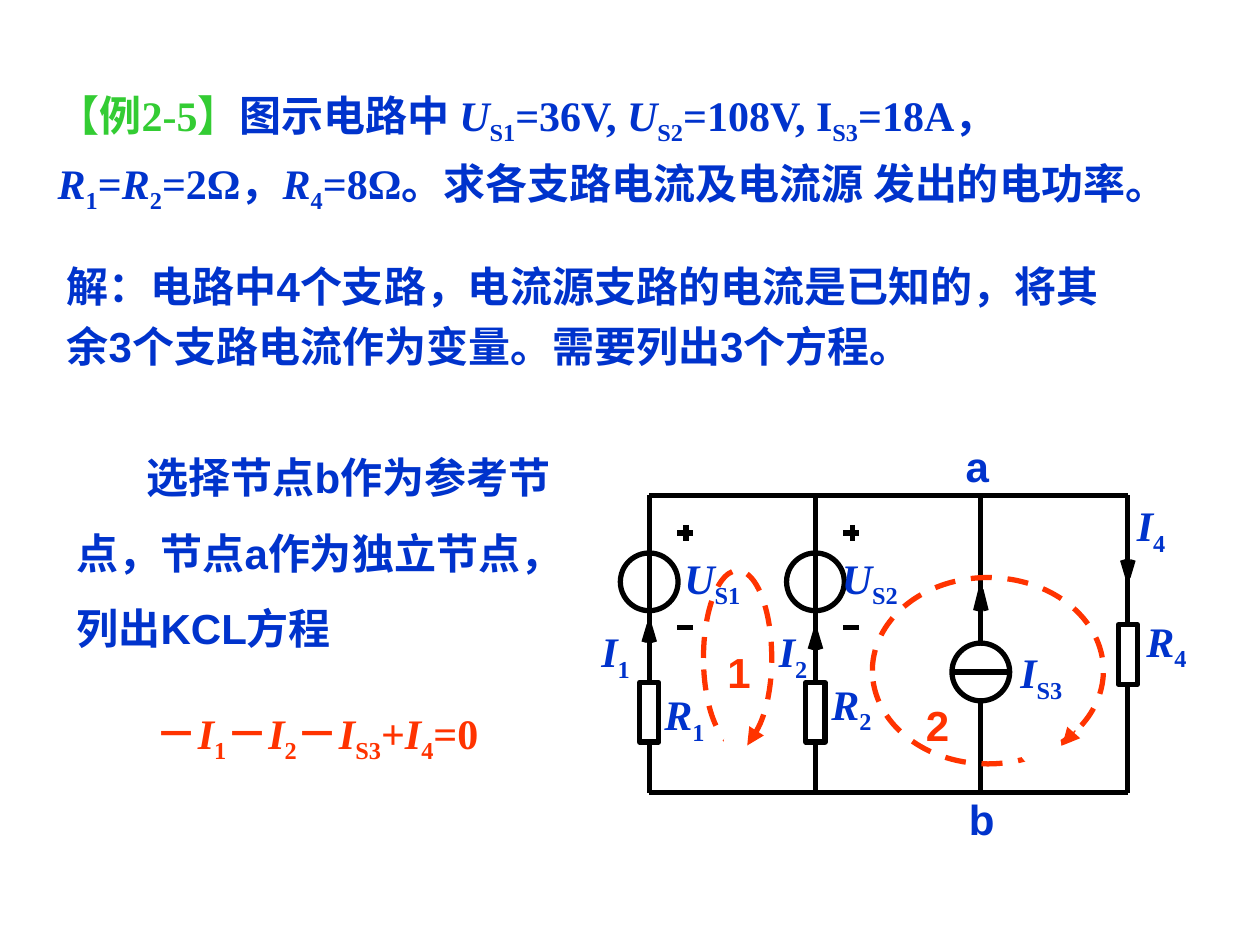
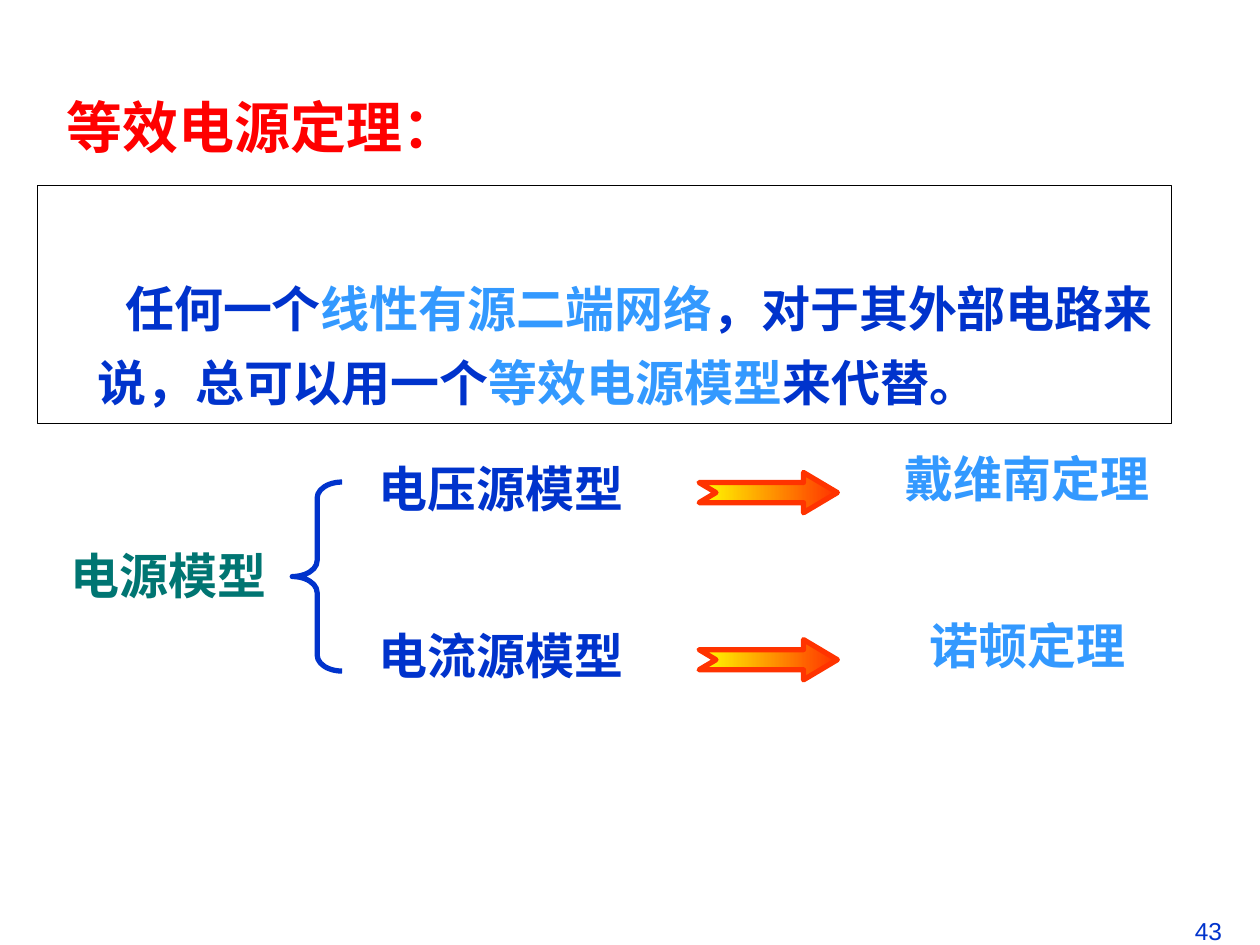
from lxml import etree
from pptx import Presentation
from pptx.dml.color import RGBColor
from pptx.enum.dml import MSO_LINE
from pptx.enum.shapes import MSO_CONNECTOR, MSO_SHAPE
from pptx.enum.text import MSO_ANCHOR, PP_ALIGN
from pptx.oxml.ns import qn
from pptx.util import Pt

STRAIGHT = MSO_CONNECTOR.STRAIGHT
OVAL, RECTANGLE = MSO_SHAPE.OVAL, MSO_SHAPE.RECTANGLE
BRACE, ARROW = MSO_SHAPE.LEFT_BRACE, MSO_SHAPE.NOTCHED_RIGHT_ARROW
LEFT, CENTER, RIGHT = PP_ALIGN.LEFT, PP_ALIGN.CENTER, PP_ALIGN.RIGHT

BLUE, SKY, TEAL, GREEN = "0033CC", "3399FF", "007572", "33CC33"
ORANGE, RED, YELLOW = "FF3300", "FF0000", "FFFF00"
BLACK, WHITE = "000000", "FFFFFF"
SANS, SERIF = "Arial", "Times New Roman"
TITLE_ONLY, BLANK = 5, 6


def color(value):
    return RGBColor.from_string(value)


# Text
def symbol(letter, index):
    """Runs of an italic letter with an upright subscript."""
    return [(letter, {"italic": True}), (index, {"subscript": True})]


def write_text(frame, paragraphs, size=24, font=SANS, ink=BLUE, bold=True,
               align=LEFT, line_spacing=None, space_before=0, margin=0,
               indent=0, insets=(7.2, 3.6)):
    """Fill a frame; a paragraph is a string or a list of (text, changes)."""
    frame.word_wrap = True
    frame.vertical_anchor = MSO_ANCHOR.TOP
    frame.margin_left, frame.margin_top = Pt(insets[0]), Pt(insets[1])
    frame.margin_right, frame.margin_bottom = Pt(7.2), Pt(3.6)
    for number, runs in enumerate(paragraphs):
        paragraph = frame.add_paragraph() if number else frame.paragraphs[0]
        paragraph.alignment = align
        if line_spacing:
            paragraph.line_spacing = line_spacing
        paragraph.space_before = Pt(space_before if number else 0)
        properties = paragraph._p.get_or_add_pPr()
        properties.set("marL", str(Pt(margin)))
        properties.set("indent", str(Pt(indent)))
        for text, changes in [(runs, {})] if isinstance(runs, str) else runs:
            run = paragraph.add_run()
            run.text = text
            run.font.size = Pt(size)
            run.font.name = font
            run.font.bold = bold
            run.font.italic = changes.get("italic", False)
            run.font.color.rgb = color(changes.get("ink", ink))
            if changes.get("subscript"):
                run._r.get_or_add_rPr().set("baseline", "-25000")


def add_text(slide, left, top, width, height, paragraphs, **text_format):
    box = slide.shapes.add_textbox(Pt(left), Pt(top), Pt(width), Pt(height))
    write_text(box.text_frame, paragraphs, **text_format)


# Shapes and lines
def add_shape(slide, kind, left, top, width, height, fill=None, line=None,
              weight=3, dashed=False):
    shape = slide.shapes.add_shape(kind, Pt(left), Pt(top), Pt(width), Pt(height))
    shape.shadow.inherit = False
    if fill:
        shape.fill.solid()
        shape.fill.fore_color.rgb = color(fill)
    else:
        shape.fill.background()
    if line:
        shape.line.color.rgb = color(line)
        shape.line.width = Pt(weight)
        if dashed:
            shape.line.dash_style = MSO_LINE.DASH
    else:
        shape.line.fill.background()
    return shape


def add_line(slide, x1, y1, x2, y2, ink=BLACK, weight=3, arrow=False):
    line = slide.shapes.add_connector(STRAIGHT, Pt(x1), Pt(y1), Pt(x2), Pt(y2))
    line.line.color.rgb = color(ink)
    line.line.width = Pt(weight)
    if arrow:
        etree.SubElement(line.line._get_or_add_ln(), qn("a:tailEnd"),
                         type="triangle", w="lg", len="lg")
    etree.SubElement(line._element.spPr, qn("a:effectLst"))


# Circuit parts, each placed by the x of its branch
RADIUS = 16.5


def add_circle(slide, x, y):
    add_shape(slide, OVAL, x - RADIUS, y - RADIUS, 2 * RADIUS, 2 * RADIUS,
              WHITE, BLACK)


def add_resistor(slide, x, top):
    add_shape(slide, RECTANGLE, x - 5.5, top, 11, 34, WHITE, BLACK)


def add_current_arrow(slide, x, tip, length, shaft):
    """Arrow with its tip at the given height; negative lengths point down."""
    for offset in (-3, 3):
        add_line(slide, x, tip, x + offset, tip + length)
    add_line(slide, x, tip, x, tip + shaft)


def add_voltage_branch(slide, x, top, height, arrow_tip):
    add_circle(slide, x, top + 49.5)
    add_line(slide, x, top, x, top + height)
    for sign_y in (21.5, 75.5):
        add_line(slide, x + 16, top + sign_y, x + 25, top + sign_y)
    add_line(slide, x + 21, top + 17, x + 21, top + 26)
    add_current_arrow(slide, x, top + arrow_tip, 10, 20)
    add_resistor(slide, x, top + 107)


def add_loops(slide, left, top):
    # Dashed loop, white gap at its end, then its arrowhead
    loops = [((31, 43, 39, 100), (42.5, 133, 17), (64, 130.5, 56, 143)),
             ((127.5, 47, 132, 106.5), (211, 131, 24.5), (243.5, 134.5, 236, 143))]
    for (x, y, width, height), (gap_x, gap_y, gap), (x1, y1, x2, y2) in loops:
        add_shape(slide, OVAL, left + x, top + y, width, height,
                  line=ORANGE, dashed=True)
        add_shape(slide, OVAL, left + gap_x, top + gap_y, gap, gap, WHITE)
        add_line(slide, left + x1, top + y1, left + x2, top + y2,
                 ORANGE, 0.75, arrow=True)


def add_circuit_labels(slide, left, top):
    quantities = [("U", "S1", 13, 29), ("U", "S2", 103, 29), ("I", "S3", 205, 83),
                  ("R", "1", 1.5, 107), ("R", "2", 97, 101), ("R", "4", 277, 65),
                  ("I", "1", -34.5, 71), ("I", "2", 67, 71), ("I", "4", 271.5, -1)]
    for letter, index, x, y in quantities:
        add_text(slide, left + x, top + y, 60, 40, [symbol(letter, index)],
                 font=SERIF)
    for name, x, y, ink, align in [("1", 37.5, 83, ORANGE, LEFT),
                                   ("2", 151, 113, ORANGE, LEFT),
                                   ("a", 170.5, -35, BLUE, CENTER),
                                   ("b", 173, 167, BLUE, CENTER)]:
        add_text(slide, left + x, top + y, 34, 36, [name], ink=ink, align=align)


def add_circuit(slide, left, top, width, height):
    first, second, third, last = left, left + 95, left + 189.5, left + width
    for y in (top, top + height):
        add_line(slide, first, y, last, y)
    add_voltage_branch(slide, first, top, height, arrow_tip=74)
    add_voltage_branch(slide, second, top, height, arrow_tip=78)

    # Current source branch
    add_line(slide, third, top, third, top + height)
    add_circle(slide, third, top + 101)
    add_line(slide, third - RADIUS, top + 101, third + RADIUS, top + 101)
    add_current_arrow(slide, third, top + 54, 12, 24)

    # Load branch
    add_line(slide, last, top, last, top + height)
    add_resistor(slide, last, top + 74)
    add_current_arrow(slide, last, top + 47, -10, -20)

    add_loops(slide, left, top)
    add_circuit_labels(slide, left, top)


def build_example_slide(presentation):
    slide = presentation.slides.add_slide(presentation.slide_layouts[BLANK])

    # Problem and solution text
    given = [("【例2-5】", {"ink": GREEN}), ("图示电路中 ", {}),
             *symbol("U", "S1"), ("=36V, ", {}), *symbol("U", "S2"),
             ("=108V, I", {}), ("S3", {"subscript": True}), ("=18A，", {})]
    asked = [*symbol("R", "1"), ("=", {}), *symbol("R", "2"), ("=2Ω，", {}),
             *symbol("R", "4"), ("=8Ω。求各支路电流及电流源 发出的电功率。", {})]
    add_text(slide, 19.5, 45.5, 678, 90, [given, asked], font=SERIF,
             space_before=6, insets=(13.5, 5.5))
    add_text(slide, 31, 139.5, 630, 76,
             ["解：电路中4个支路，电流源支路的电流是已知的，将其 "
              "余3个支路电流作为变量。需要列出3个方程。"], line_spacing=1.2)
    add_text(slide, 36.7, 240, 287.3, 137,
             ["选择节点b作为参考节点，节点a作为独立节点，列出KCL方程"],
             line_spacing=1.5, indent=40)

    # Node equation
    minus = ("－", {})
    equation = [minus, *symbol("I", "1"), minus, *symbol("I", "2"), minus,
                *symbol("I", "S3"), ("+", {}), *symbol("I", "4"), ("=0", {})]
    add_text(slide, 82, 400.5, 210, 73, [equation], font=SERIF, ink=ORANGE)

    add_circuit(slide, 371, 283, 273.5, 170)


def add_model_row(slide, left, top, model, theorem):
    add_text(slide, left, top + 6, 205, 41, [model], size=28, align=CENTER)
    arrow = add_shape(slide, ARROW, left + 215.5, top + 17.5, 79, 23,
                      line=ORANGE)
    arrow.adjustments[0], arrow.adjustments[1] = 0.5, 0.84
    arrow.fill.gradient()
    arrow.fill.gradient_angle = 0
    for stop, stop_color in zip(arrow.fill.gradient_stops, (YELLOW, ORANGE)):
        stop.color.rgb = color(stop_color)
    add_text(slide, left + 300.5, top, 205, 41, [theorem], size=28, ink=SKY,
             align=CENTER)


def build_theorem_slide(presentation):
    slide = presentation.slides.add_slide(presentation.slide_layouts[TITLE_ONLY])

    # Title
    title = slide.shapes.title
    title.left, title.top, title.width, title.height = map(Pt, (31, 49, 648, 51))
    write_text(title.text_frame, ["等效电源定理："], size=32, ink=RED)

    # Theorem
    frame = add_shape(slide, RECTANGLE, 21.5, 106, 648, 136, WHITE, BLACK, 0.75)
    theorem = [("任何一个", {}), ("线性有源二端网络", {"ink": SKY}),
               ("，对于其外部电路来说，总可以用一个", {}),
               ("等效电源模型", {"ink": SKY}), ("来代替。", {})]
    write_text(frame.text_frame, [theorem], size=28, line_spacing=1.25,
               margin=27, indent=16, insets=(7.2, 45))

    # Source models and the theorem for each
    add_text(slide, 19.5, 308, 153.5, 41, ["电源模型"], size=28, ink=TEAL,
             align=CENTER)
    brace = add_shape(slide, BRACE, 167, 275.5, 28.5, 108, line=BLUE)
    brace.adjustments[0] = 0.32
    rows = [("电压源模型", "戴维南定理"), ("电流源模型", "诺顿定理")]
    for number, (model, name) in enumerate(rows):
        add_model_row(slide, 184, 252.5 + number * 95.5, model, name)

    # Page number
    add_text(slide, 525.5, 520, 180, 20, ["43"], size=14, bold=False, align=RIGHT)


def main():
    presentation = Presentation()
    presentation.slide_width, presentation.slide_height = Pt(720), Pt(540)
    build_example_slide(presentation)
    build_theorem_slide(presentation)
    presentation.save("out.pptx")


if __name__ == "__main__":
    main()
